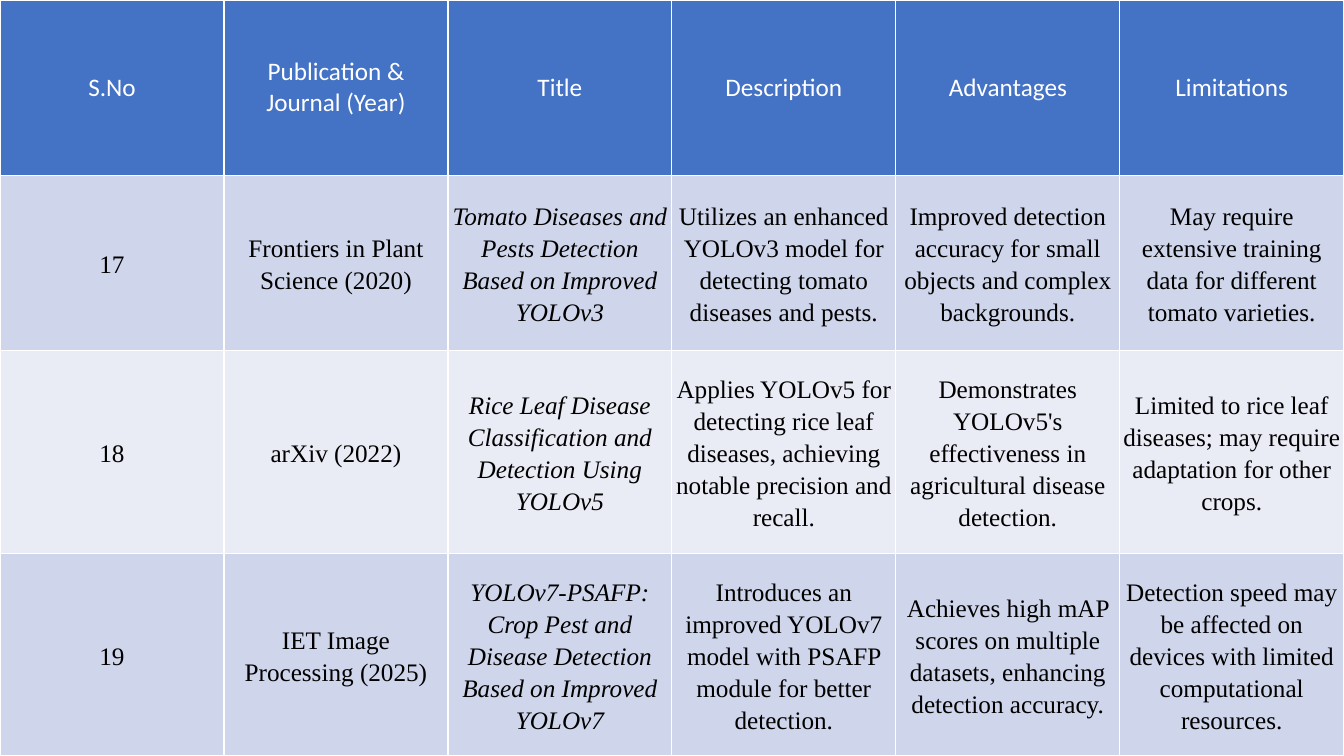
from pptx import Presentation
from pptx.dml.color import RGBColor
from pptx.enum import text as t
from pptx.util import Cm, Pt

WHITE = RGBColor(0xFF, 0xFF, 0xFF)
BLACK = RGBColor(0, 0, 0)
BLUE = RGBColor(0x44, 0x72, 0xC4)
BANDS = RGBColor(0xCF, 0xD5, 0xEA), RGBColor(0xE9, 0xEB, 0xF5)

WIDE, HIGH = 33.87, 19.05
SHARES = 4.42, 4.42, 5.1, 5.11
HEADS = ["S.No", "Publication & Journal (Year)", "Title", "Description", "Advantages", "Limitations"]
PAPERS = [
    ["17", "Frontiers in Plant Science (2020)",
     "Tomato Diseases and Pests Detection Based on Improved YOLOv3",
     "Utilizes an enhanced YOLOv3 model for detecting tomato diseases and pests.",
     "Improved detection accuracy for small objects and complex backgrounds.",
     "May require extensive training data for different tomato varieties."],
    ["18", "arXiv (2022)",
     "Rice Leaf Disease Classification and Detection Using YOLOv5",
     "Applies YOLOv5 for detecting rice leaf diseases, achieving notable precision and recall.",
     "Demonstrates YOLOv5's effectiveness in agricultural disease detection.",
     "Limited to rice leaf diseases; may require adaptation for other crops."],
    ["19", "IET Image Processing (2025)",
     "YOLOv7‐PSAFP: Crop Pest and Disease Detection Based on Improved YOLOv7",
     "Introduces an improved YOLOv7 model with PSAFP module for better detection.",
     "Achieves high mAP scores on multiple datasets, enhancing detection accuracy.",
     "Detection speed may be affected on devices with limited computational resources."],
]


def write(cell, words, font="Times New Roman", color=BLACK, italic=False, lead=None, after=None):
    """Put centred, formatted text into a table cell."""
    cell.vertical_anchor = t.MSO_ANCHOR.MIDDLE
    para = cell.text_frame.paragraphs[0]
    para.alignment = t.PP_ALIGN.CENTER
    para.line_spacing = lead
    para.space_after = after
    run = para.add_run()
    run.text = words
    run.font.name = font
    run.font.size = Pt(18)
    run.font.bold = False
    run.font.italic = italic
    run.font.color.rgb = color


def paint(cell, color):
    """Fill a table cell with one colour."""
    cell.fill.solid()
    cell.fill.fore_color.rgb = color


def survey(slide, left, top, width, height):
    """Place the table of papers in the given box."""
    frame = slide.shapes.add_table(len(PAPERS) + 1, len(HEADS),
                                   Cm(left), Cm(top), Cm(width), Cm(height))
    table = frame.table
    for col in table.columns:
        col.width = Cm(width / len(HEADS))
    for row, share in zip(table.rows, SHARES):
        row.height = Cm(height * share / sum(SHARES))
    for cell, head in zip(table.rows[0].cells, HEADS):
        paint(cell, BLUE)
        write(cell, head, font="Calibri", color=WHITE)
    for r, paper in enumerate(PAPERS):
        for c, words in enumerate(paper):
            cell = table.cell(r + 1, c)
            paint(cell, BANDS[r % 2])
            cell.margin_left = cell.margin_right = Cm(0.02)
            cell.margin_top = cell.margin_bottom = Cm(0.02)
            write(cell, words, italic=HEADS[c] == "Title", lead=1.15, after=Pt(8))


def main():
    """Build and save the slide."""
    deck = Presentation()
    deck.slide_width, deck.slide_height = Cm(WIDE), Cm(HIGH)
    slide = deck.slides.add_slide(deck.slide_layouts[6])
    survey(slide, 0, 0, WIDE, HIGH)
    deck.save("out.pptx")


if __name__ == "__main__":
    main()
